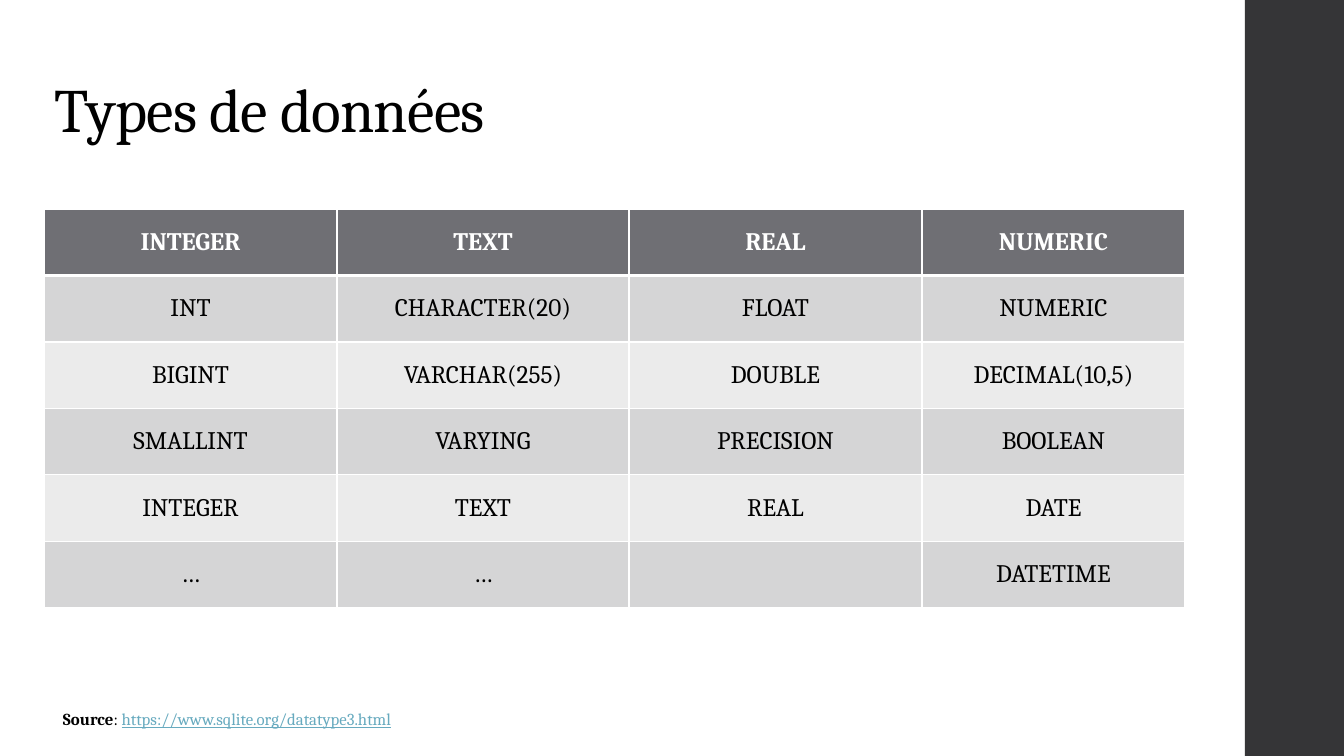
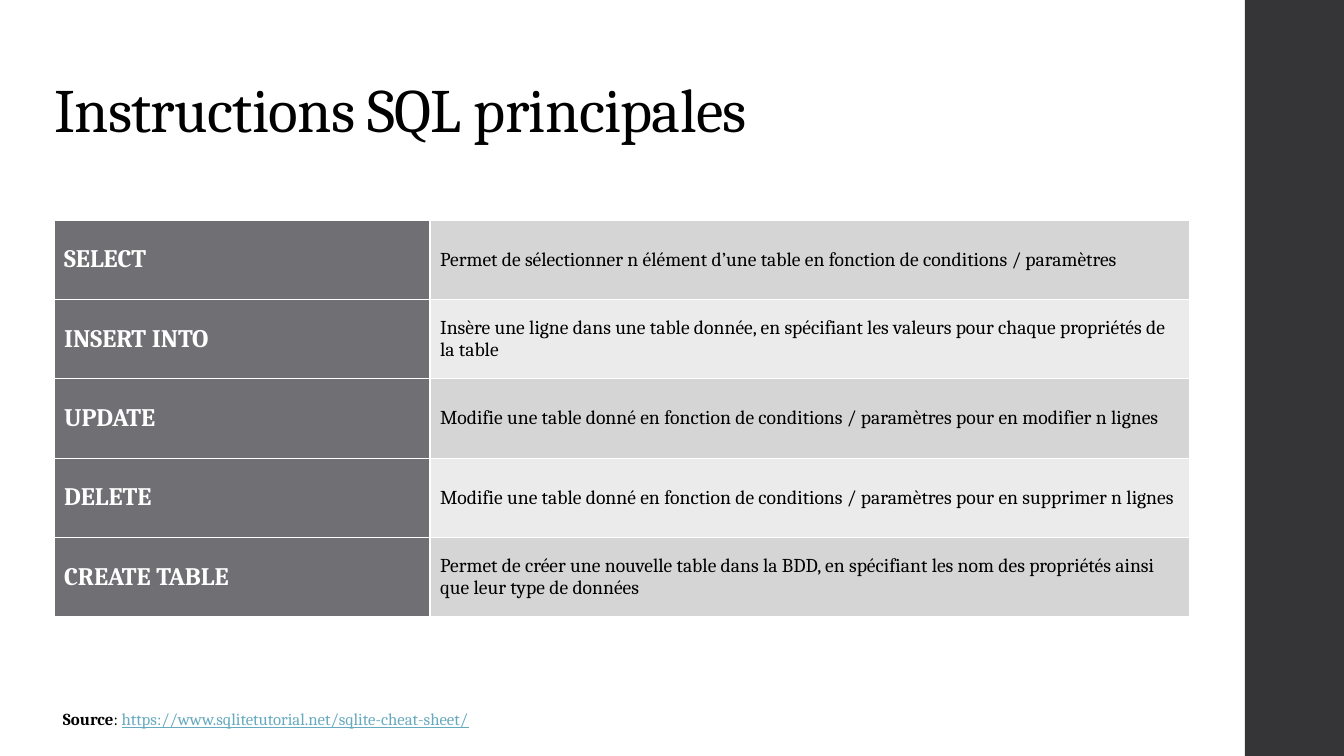
"""Build two slides about SQL data types and statements."""
from lxml import etree
from pptx import Presentation
from pptx import util as u
from pptx.dml.color import RGBColor
from pptx.enum import shapes, text
from pptx.oxml.ns import qn

EMU_PER_PX = 914400 / 100.8
FONT = "Cambria"
BLACK = RGBColor(0x00, 0x00, 0x00)
WHITE = RGBColor(0xFF, 0xFF, 0xFF)
BAND = RGBColor(0x35, 0x35, 0x37)
HEAD = RGBColor(0x6F, 0x6F, 0x74)
ROW_FILLS = (RGBColor(0xD5, 0xD5, 0xD6), RGBColor(0xEB, 0xEB, 0xEB))
LINK = RGBColor(0x67, 0xAA, 0xBF)

TYPES = [
    ("INTEGER", "TEXT", "REAL", "NUMERIC"),
    ("INT", "CHARACTER(20)", "FLOAT", "NUMERIC"),
    ("BIGINT", "VARCHAR(255)", "DOUBLE", "DECIMAL(10,5)"),
    ("SMALLINT", "VARYING", "PRECISION", "BOOLEAN"),
    ("INTEGER", "TEXT", "REAL", "DATE"),
    ("…", "…", "", "DATETIME"),
]
STATEMENTS = [
    ("SELECT", "Permet de sélectionner n élément d’une table en fonction de "
     "conditions / paramètres"),
    ("INSERT INTO", "Insère une ligne dans une table donnée, en spécifiant les "
     "valeurs pour chaque propriétés de la table"),
    ("UPDATE", "Modifie une table donné en fonction de conditions / paramètres "
     "pour en modifier n lignes"),
    ("DELETE", "Modifie une table donné en fonction de conditions / paramètres "
     "pour en supprimer n lignes"),
    ("CREATE TABLE", "Permet de créer une nouvelle table dans la BDD, en "
     "spécifiant les nom des propriétés ainsi que leur type de données"),
]


def px(n):
    """Convert pixels to EMU."""
    return u.Emu(round(n * EMU_PER_PX))


def set_font(font, size, color=BLACK, bold=False):
    """Apply the deck font with a size, colour and weight."""
    font.name, font.size, font.bold = FONT, u.Pt(size), bold
    font.color.rgb = color


def add_base(prs, title, source):
    """Add a slide with its title, side band and source line."""
    s = prs.slides.add_slide(prs.slide_layouts[5])
    band = s.shapes.add_shape(shapes.MSO_SHAPE.RECTANGLE,
                              px(1245), 0, px(99), px(756))
    band.shadow.inherit = False
    band.fill.solid()
    band.fill.fore_color.rgb = BAND
    band.line.fill.background()
    add_title(s, title)
    add_source(s, source)
    return s


def add_title(s, title):
    """Place and format the title placeholder."""
    sp = s.shapes.title
    sp.left, sp.top, sp.width, sp.height = px(44), px(36), px(1068), px(115)
    tf = sp.text_frame
    tf.vertical_anchor = text.MSO_ANCHOR.BOTTOM
    tf.auto_size = text.MSO_AUTO_SIZE.NONE
    p = tf.paragraphs[0]
    p.alignment, p.line_spacing = text.PP_ALIGN.LEFT, 0.9
    set_font(p.font, 44)
    r = p.add_run()
    r.text = title
    r._r.get_or_add_rPr().set("spc", "-50")


def add_source(s, address):
    """Add the source line at the foot of the slide."""
    tf = s.shapes.add_textbox(px(53), px(704), px(853), px(30)).text_frame
    tf.word_wrap = True
    p = tf.paragraphs[0]
    for words, color, bold in (("Source", BLACK, True), (": ", BLACK, False),
                               (address, LINK, False)):
        r = p.add_run()
        r.text = words
        set_font(r.font, 12, color, bold)
    r.font.underline = True


def set_borders(cell, **widths):
    """Draw white borders, 1 pt unless a side is given another width."""
    tc_pr = cell._tc.get_or_add_tcPr()
    for side in "LRTB":
        ln = etree.SubElement(tc_pr, qn(f"a:ln{side}"),
                              w=str(u.Pt(widths.get(side, 1))))
        fill = etree.SubElement(ln, qn("a:solidFill"))
        etree.SubElement(fill, qn("a:srgbClr"), val=str(WHITE))


def fill_cell(cell, words, fill, size, color, bold, align):
    """Write and format one table cell."""
    cell.fill.solid()
    cell.fill.fore_color.rgb = fill
    cell.vertical_anchor = text.MSO_ANCHOR.MIDDLE
    p = cell.text_frame.paragraphs[0]
    p.alignment = align
    set_font(p.font, size, color, bold)
    if words:
        p.add_run().text = words


def add_grid(s, left, top, widths, height, rows, head_row, size, align):
    """Add a banded table headed by its first row or its first column."""
    frame = s.shapes.add_table(len(rows), len(widths), px(left), px(top),
                               px(sum(widths)), px(height))
    table = frame.table
    table.first_row = table.horz_banding = False
    for column, width in zip(table.columns, widths):
        column.width = px(width)
    for i, row in enumerate(rows):
        table.rows[i].height = px(height / len(rows))
        band = ROW_FILLS[(i - head_row) % 2]
        for j, words in enumerate(row):
            cell = table.cell(i, j)
            set_borders(cell, **({"B": 3} if head_row and i == 0 else
                                 {"T": 3} if head_row and i == 1 else {}))
            if (i if head_row else j) == 0:
                fill_cell(cell, words, HEAD, 18, WHITE, True, align)
            else:
                fill_cell(cell, words, band, size, BLACK, False, align)


def main():
    """Build and save the deck."""
    prs = Presentation()
    prs.slide_width, prs.slide_height = px(1344), px(756)
    s = add_base(prs, "Types de données",
                 "https://www.sqlite.org/datatype3.html")
    add_grid(s, 44, 209, (293, 292, 293, 263), 399, TYPES, True, 18,
             text.PP_ALIGN.CENTER)
    s = add_base(prs, "Instructions SQL principales",
                 "https://www.sqlitetutorial.net/sqlite-cheat-sheet/")
    add_grid(s, 54, 220, (376, 760), 397, STATEMENTS, False, 14,
             text.PP_ALIGN.LEFT)
    prs.save("out.pptx")


main()
